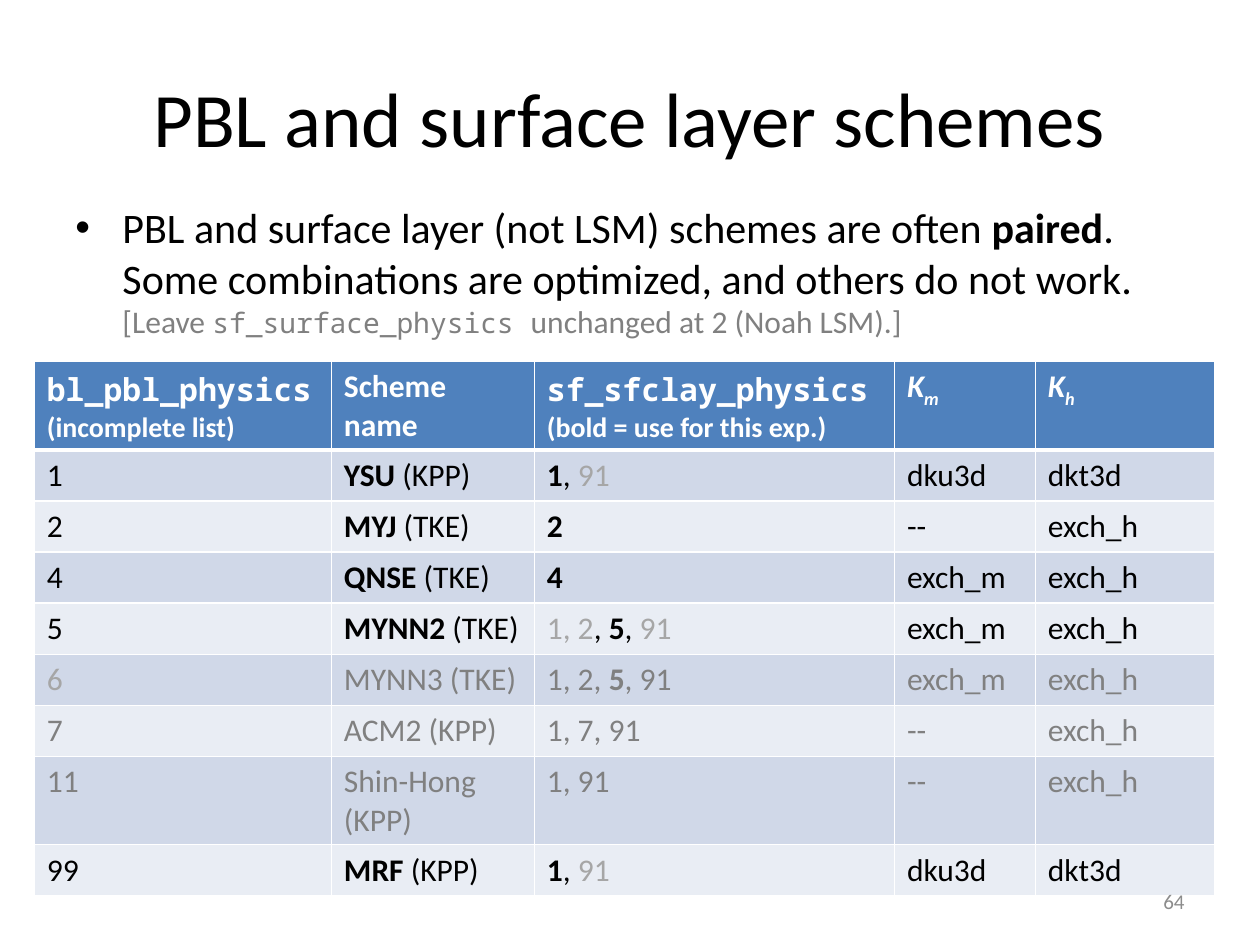
from dataclasses import dataclass

from pptx import Presentation
from pptx.dml.color import RGBColor
from pptx.enum.text import MSO_ANCHOR as Anchor, PP_ALIGN as Align
from pptx.oxml import parse_xml
from pptx.oxml.ns import nsdecls
from pptx.util import Cm, Pt

BLACK = RGBColor(0x00, 0x00, 0x00)
WHITE = RGBColor(0xFF, 0xFF, 0xFF)
GRAY = RGBColor(0x80, 0x80, 0x80)
FAINT = RGBColor(0xA6, 0xA6, 0xA6)
PAGE_GRAY = RGBColor(0x8C, 0x8C, 0x8C)
HEADER_BLUE = RGBColor(0x4F, 0x81, 0xBD)
BAND_DARK = RGBColor(0xD0, 0xD8, 0xE8)
BAND_LIGHT = RGBColor(0xE9, 0xED, 0xF4)
MONO = "Noto Sans Mono"


@dataclass
class Span:
    text: str
    size: float = 18
    color: RGBColor = BLACK
    bold: bool = False
    italic: bool = False
    face: str = "Calibri"
    baseline: int = 0


class SchemeSlide:
    def __init__(self, deck):
        self.page = deck.slides.add_slide(deck.slide_layouts[6])

    def add_spans(self, para, spans):
        for span in spans:
            run = para.add_run()
            run.text = span.text
            font = run.font
            font.name = span.face
            font.size = Pt(span.size)
            font.bold = span.bold
            font.italic = span.italic
            font.color.rgb = span.color
            if span.baseline:
                run._r.get_or_add_rPr().set("baseline", str(span.baseline * 1000))

    def text(self, left, top, width, height, spans, align=Align.LEFT, anchor=Anchor.TOP):
        box = self.page.shapes.add_textbox(Cm(left), Cm(top), Cm(width), Cm(height))
        box.text_frame.word_wrap = True
        box.text_frame.vertical_anchor = anchor
        para = box.text_frame.paragraphs[0]
        para.alignment = align
        self.add_spans(para, spans)
        return para

    def bullet(self, left, top, width, height, spans):
        para = self.text(left, top, width, height, spans)
        properties = para._p.get_or_add_pPr()
        properties.set("marL", str(Cm(0.95)))
        properties.set("indent", str(Cm(-0.95)))
        properties.append(parse_xml(f'<a:buFont {nsdecls("a")} typeface="Arial"/>'))
        properties.append(parse_xml(f'<a:buChar {nsdecls("a")} char="•"/>'))

    def border(self, cell, widths):
        properties = cell._tc.get_or_add_tcPr()
        for side, width in zip("LRTB", widths):
            properties.append(parse_xml(
                f'<a:ln{side} {nsdecls("a")} w="{Pt(width)}"><a:solidFill>'
                f'<a:srgbClr val="{WHITE}"/></a:solidFill></a:ln{side}>'))

    def table(self, left, top, widths, row_height, rows):
        frame = self.page.shapes.add_table(
            len(rows), len(widths), Cm(left), Cm(top),
            Cm(sum(widths)), Cm(row_height * len(rows)))
        grid = frame.table
        for column, width in zip(grid.columns, widths):
            column.width = Cm(width)
        for index, row in enumerate(rows):
            grid.rows[index].height = Cm(row_height)
            band = BAND_DARK if index % 2 else BAND_LIGHT
            for cell, lines in zip(grid.rows[index].cells, row):
                self.border(cell, (1, 1, 3 if index == 1 else 1, 3 if index == 0 else 1))
                cell.fill.solid()
                cell.fill.fore_color.rgb = band if index else HEADER_BLUE
                cell.text_frame.text = "\n" * (len(lines) - 1)
                for para, spans in zip(cell.text_frame.paragraphs, lines):
                    self.add_spans(para, spans)


def heading(text, **style):
    return Span(text, color=WHITE, bold=True, **style)


def coefficient(subscript):
    return [[heading("K", italic=True), heading(subscript, italic=True, baseline=-25)]]


def marked(text, tone):
    spans = []
    for piece in text.split("|"):
        color = FAINT if piece.startswith("~") else tone
        spans.append(Span(piece.lstrip("*~"), color=color, bold=piece.startswith("*")))
    return [spans]


HEADER = [
    [[heading("bl_pbl_physics ", face=MONO), heading("(incomplete list)", size=16)]],
    [[heading("Scheme name")]],
    [[heading("sf_sfclay_physics", face=MONO)],
     [heading("(bold = use for this exp.)", size=16)]],
    coefficient("m"),
    coefficient("h"),
]

SCHEMES = [
    (BLACK, "1", "*YSU| (KPP)", "*1|, |~91", "dku3d", "dkt3d"),
    (BLACK, "2", "*MYJ| (TKE)", "*2", "--", "exch_h"),
    (BLACK, "4", "*QNSE| (TKE)", "*4", "exch_m", "exch_h"),
    (BLACK, "5", "*MYNN2| (TKE)", "~1, 2|, |*5|, |~91", "exch_m", "exch_h"),
    (GRAY, "~6", "MYNN3 (TKE)", "1, 2, |*5|, 91", "exch_m", "exch_h"),
    (GRAY, "7", "ACM2 (KPP)", "1, 7, 91", "--", "exch_h"),
    (GRAY, "11", "Shin-Hong (KPP)", "1, 91", "--", "exch_h"),
    (BLACK, "99", "*MRF| (KPP)", "*1|, |~91", "dku3d", "dkt3d"),
]


def main():
    deck = Presentation()
    deck.slide_width, deck.slide_height = Cm(25.4), Cm(19.05)
    slide = SchemeSlide(deck)
    slide.text(1.27, 0.76, 22.86, 3.18, [Span("PBL and surface layer schemes", 44)],
               Align.CENTER, Anchor.MIDDLE)
    slide.bullet(1.27, 3.94, 22.86, 12.57, [
        Span("PBL and surface layer (not LSM) schemes are often ", 24),
        Span("paired", 24, bold=True),
        Span(".  Some combinations are optimized, and others do not work.  ", 24),
        Span("[Leave ", color=GRAY),
        Span("sf_surface_physics ", 16, GRAY, face=MONO),
        Span("unchanged at 2 (Noah LSM).]", color=GRAY),
    ])
    rows = [HEADER] + [[marked(text, tone) for text in texts] for tone, *texts in SCHEMES]
    slide.table(0.69, 7.29, (5.99, 4.09, 7.26, 2.84, 3.61), 1.03, rows)
    slide.text(18.21, 17.65, 5.92, 1.02, [Span("64", 12, PAGE_GRAY)],
               Align.RIGHT, Anchor.MIDDLE)
    deck.save("out.pptx")


if __name__ == "__main__":
    main()
